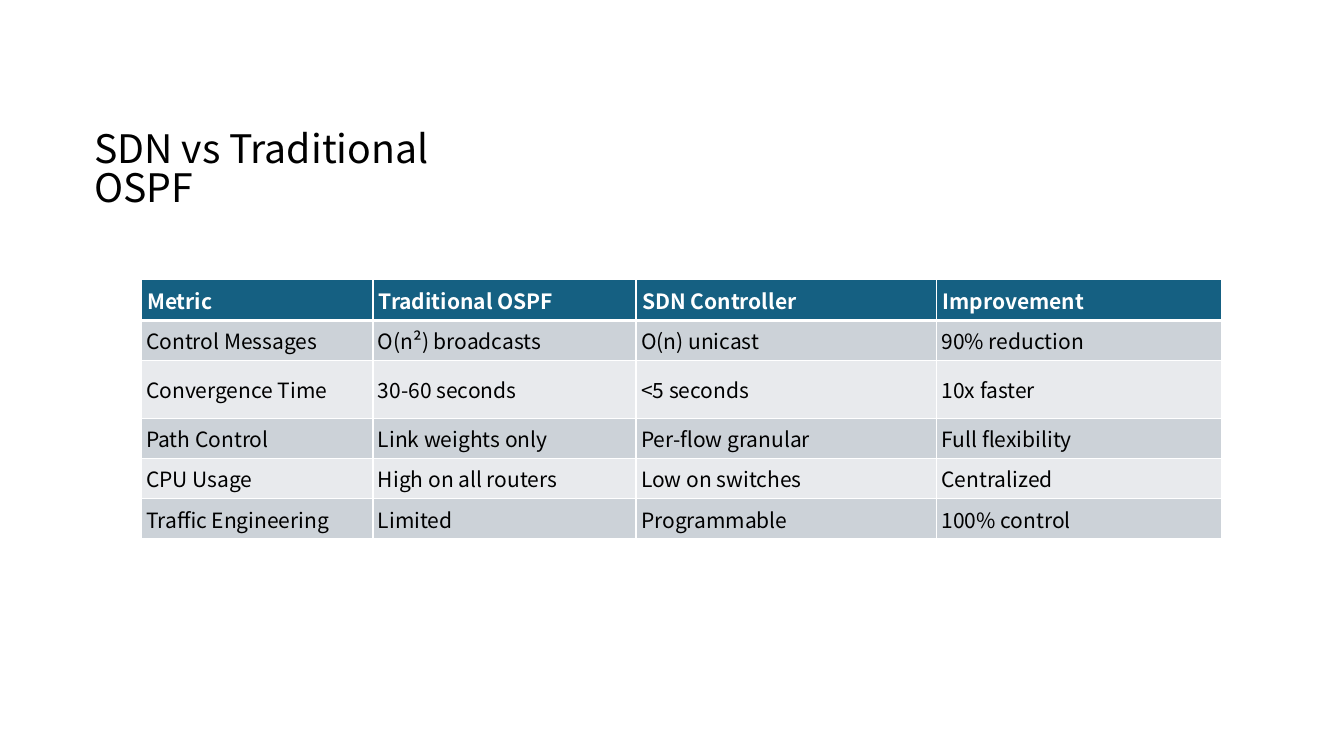
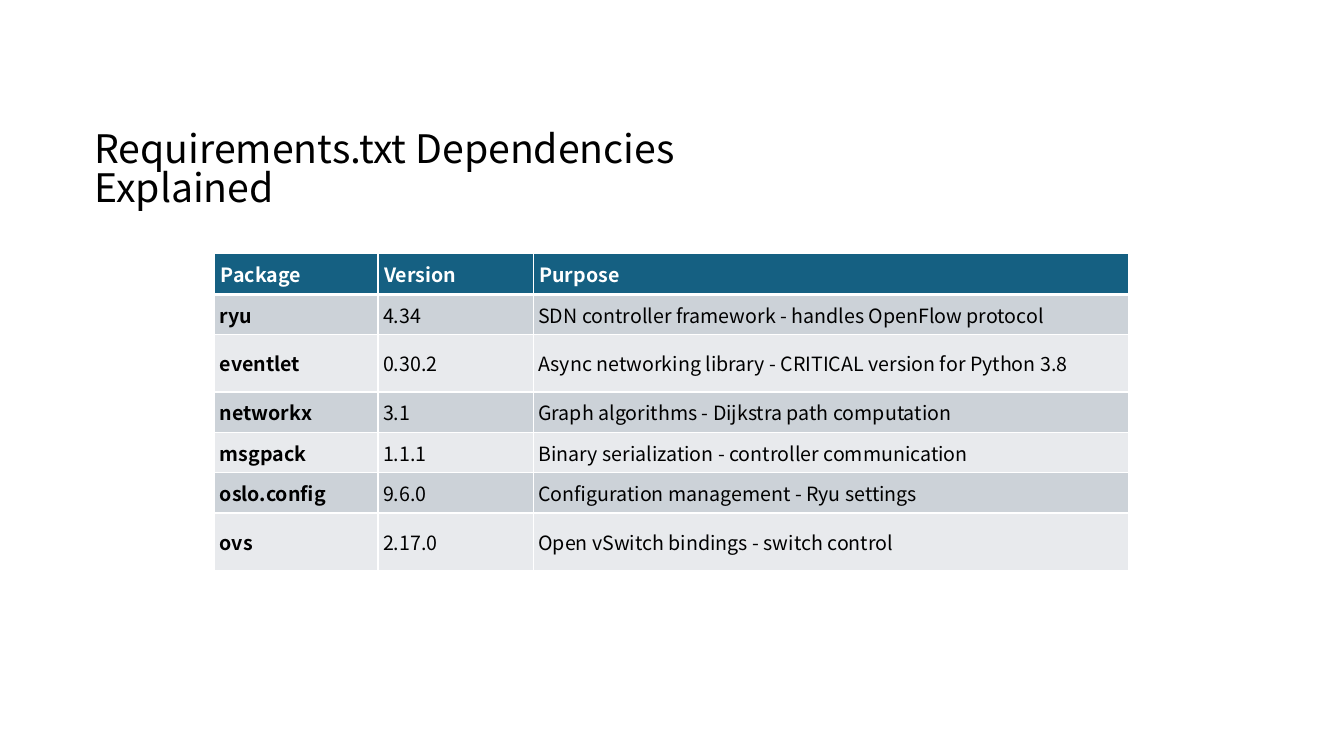
from lxml.etree import SubElement
from pptx import Presentation
from pptx.dml.color import RGBColor
from pptx.enum.text import MSO_ANCHOR
from pptx.oxml import parse_xml
from pptx.oxml.ns import nsdecls
from pptx.util import Inches, Pt

FONT = "Noto Sans CJK KR"
HUES = {"head": "156082", "dark": "CCD2D8", "light": "E8EAED",
        "white": "FFFFFF", "black": "000000"}
HEAD = {"margin_left": Inches(0.06), "margin_right": Inches(0.06),
        "margin_top": Inches(0.04), "margin_bottom": Inches(0.04),
        "vertical_anchor": MSO_ANCHOR.MIDDLE}
BODY = {"margin_left": Inches(0.05), "margin_right": Inches(0.05),
        "margin_top": Inches(0.03), "margin_bottom": Inches(0.03),
        "vertical_anchor": MSO_ANCHOR.MIDDLE}
TITLE = {"word_wrap": True, "margin_top": Inches(0.09)}

# Places and sizes are percentages of the slide's width or height.
LEFT, TOP, TALL = 6.3, 16.27, 7.6
HIGH = {"head": 5.47, "row": 5.33, "tall": 7.6}

PAGES = [
    {"title": "SDN vs Traditional OSPF", "wide": 31.66,
     "at": (10.5, 36.93), "cols": (17.25, 19.58, 22.36, 21.23),
     "tall": {2}, "size": 15, "bold": False,
     "rows": [
         ("Metric", "Traditional OSPF", "SDN Controller", "Improvement"),
         ("Control Messages", "O(n²) broadcasts", "O(n) unicast", "90% reduction"),
         ("Convergence Time", "30-60 seconds", "<5 seconds", "10x faster"),
         ("Path Control", "Link weights only", "Per-flow granular", "Full flexibility"),
         ("CPU Usage", "High on all routers", "Low on switches", "Centralized"),
         ("Traffic Engineering", "Limited", "Programmable", "100% control"),
     ]},
    {"title": "Requirements.txt Dependencies Explained", "wide": 51.09,
     "at": (15.98, 33.47), "cols": (12.15, 11.55, 44.26),
     "tall": {2, 6}, "size": 14, "bold": True,
     "rows": [
         ("Package", "Version", "Purpose"),
         ("ryu", "4.34", "SDN controller framework - handles OpenFlow protocol"),
         ("eventlet", "0.30.2",
          "Async networking library - CRITICAL version for Python 3.8"),
         ("networkx", "3.1", "Graph algorithms - Dijkstra path computation"),
         ("msgpack", "1.1.1", "Binary serialization - controller communication"),
         ("oslo.config", "9.6.0", "Configuration management - Ryu settings"),
         ("ovs", "2.17.0", "Open vSwitch bindings - switch control"),
     ]},
]


def write(frame, text, size, hue, bold=False):
    """Put one styled run in the frame and return its paragraph."""
    para = frame.paragraphs[0]
    run = para.add_run()
    run.text = text
    for name, value in {"name": FONT, "size": Pt(size), "bold": bold}.items():
        setattr(run.font, name, value)
    run.font.color.rgb = RGBColor.from_string(HUES[hue])
    props = run.font._element
    for tag in ("ea", "cs"):
        props.append(parse_xml(f'<a:{tag} {nsdecls("a")} typeface="{FONT}"/>'))
    return para


def border(cell, row):
    """Draw white cell edges, thick between the header and the body."""
    props = cell._tc.get_or_add_tcPr()
    for spot, side in enumerate("LRTB"):
        thick = (row, side) in {(0, "B"), (1, "T")}
        line = parse_xml(f'<a:ln{side} {nsdecls("a")} w="{Pt(3 if thick else 1)}"/>')
        fill = SubElement(line, line.tag.replace(f"ln{side}", "solidFill"))
        SubElement(fill, fill.tag.replace("solidFill", "srgbClr"), val=HUES["white"])
        props.insert(spot, line)


deck = Presentation()
deck.slide_width, deck.slide_height = Inches(13.33), Inches(7.5)
across, down = deck.slide_width / 100, deck.slide_height / 100

for page in PAGES:
    slide = deck.slides.add_slide(deck.slide_layouts[6])
    box = slide.shapes.add_textbox(int(LEFT * across), int(TOP * down),
                                   int(page["wide"] * across), int(TALL * down))
    for name, value in TITLE.items():
        setattr(box.text_frame, name, value)
    write(box.text_frame, page["title"], 28, "black").line_spacing = 0.83

    rows, cols = page["rows"], page["cols"]
    highs = [HIGH["head" if r == 0 else "tall" if r in page["tall"] else "row"]
             for r in range(len(rows))]
    left, top = page["at"]
    table = slide.shapes.add_table(
        len(rows), len(cols), int(left * across), int(top * down),
        int(sum(cols) * across), int(sum(highs) * down)).table
    for col, wide in zip(table.columns, cols):
        col.width = int(wide * across)
    for r, (texts, high) in enumerate(zip(rows, highs)):
        table.rows[r].height = int(high * down)
        first = r == 0
        shade = "head" if first else "dark" if r % 2 else "light"
        for c, text in enumerate(texts):
            cell = table.cell(r, c)
            for name, value in (HEAD if first else BODY).items():
                setattr(cell, name, value)
            cell.fill.solid()
            cell.fill.fore_color.rgb = RGBColor.from_string(HUES[shade])
            border(cell, r)
            write(cell.text_frame, text, page["size"],
                  "white" if first else "black",
                  first or (page["bold"] and c == 0))

deck.save("out.pptx")
